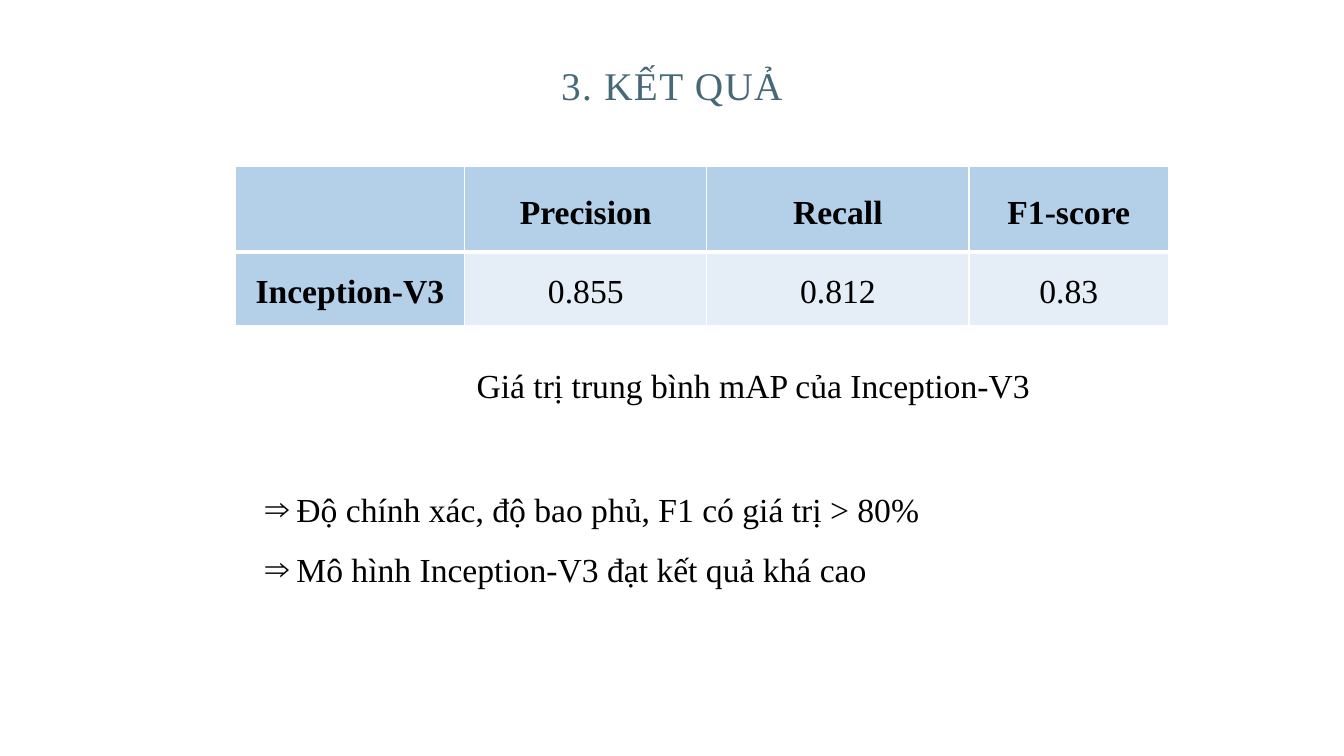
import pptx
import pptx.util
import pptx.dml.color
import pptx.enum.text
import lxml.etree

Inches, Pt = pptx.util.Inches, pptx.util.Pt
RGBColor = pptx.dml.color.RGBColor
PP_ALIGN = pptx.enum.text.PP_ALIGN
MSO_ANCHOR = pptx.enum.text.MSO_ANCHOR
MSO_AUTO_SIZE = pptx.enum.text.MSO_AUTO_SIZE

BLACK = RGBColor(0x00, 0x00, 0x00)
SLATE = RGBColor(0x47, 0x69, 0x77)
HEADER_BLUE = RGBColor(0xB4, 0xD0, 0xE9)
PALE_BLUE = RGBColor(0xE5, 0xEE, 0xF7)
A = "{http://schemas.openxmlformats.org/drawingml/2006/main}"


def write(p, text, color=BLACK, size=24, bold=False, align=PP_ALIGN.CENTER, spacing=1.0):
    paragraph_format = {"alignment": align, "line_spacing": spacing,
                        "space_before": Pt(0), "space_after": Pt(0)}
    for name, value in paragraph_format.items():
        setattr(p, name, value)
    r = p.add_run()
    r.text = text
    for name, value in {"name": "Times New Roman", "size": Pt(size), "bold": bold}.items():
        setattr(r.font, name, value)
    r.font.color.rgb = color
    return r


def place(sp, left, top, width, height):
    box = {"left": left, "top": top, "width": width, "height": height}
    for name, value in box.items():
        setattr(sp, name, Inches(value))


prs = pptx.Presentation()
prs.slide_width, prs.slide_height = Inches(13.33), Inches(7.5)
s = prs.slides.add_slide(prs.slide_layouts[1])

title = s.shapes.title
place(title, 3.54, 0.62, 6.25, 0.51)
title.text_frame.auto_size = MSO_AUTO_SIZE.NONE
title.text_frame.vertical_anchor = MSO_ANCHOR.MIDDLE
r = write(title.text_frame.paragraphs[0], "3. KẾT QUẢ", SLATE, 28, spacing=0.9)
r.font._element.set("spc", "100")

rows = [["", "Precision", "Recall", "F1-score"],
        ["Inception-V3", "0.855", "0.812", "0.83"]]
col_widths = [2.28, 2.4, 2.6, 1.98]
row_heights = [0.85, 0.73]
table = s.shapes.add_table(len(rows), len(col_widths), Inches(2.33), Inches(1.65),
                           Inches(sum(col_widths)), Inches(sum(row_heights))).table
for column, width in zip(table.columns, col_widths):
    column.width = Inches(width)
for row, height in zip(table.rows, row_heights):
    row.height = Inches(height)

cell_format = {"vertical_anchor": MSO_ANCHOR.MIDDLE,
               "margin_left": Inches(0.07), "margin_right": Inches(0.07),
               "margin_top": 0, "margin_bottom": 0}
for i, texts in enumerate(rows):
    for j, text in enumerate(texts):
        cell = table.cell(i, j)
        for name, value in cell_format.items():
            setattr(cell, name, value)
        heading = i == 0 or j == 0
        if text:
            write(cell.text_frame.paragraphs[0], text, bold=heading, spacing=1.2)
        tcPr = cell._tc.get_or_add_tcPr()
        divider = "lnB" if i == 0 else "lnT"
        for side in ("lnL", "lnR", "lnT", "lnB"):
            width = Pt(3 if side == divider else 1)
            ln = lxml.etree.SubElement(tcPr, A + side, w=str(width))
            line_fill = lxml.etree.SubElement(ln, A + "solidFill")
            lxml.etree.SubElement(line_fill, A + "srgbClr", val="FFFFFF")
        cell.fill.solid()
        cell.fill.fore_color.rgb = HEADER_BLUE if heading else PALE_BLUE

body = s.placeholders[1]
place(body, 2.53, 4.6, 7.26, 1.62)
tf = body.text_frame
tf.auto_size = MSO_AUTO_SIZE.NONE
conclusions = ["Độ chính xác, độ bao phủ, F1 có giá trị > 80%",
               "Mô hình Inception-V3 đạt kết quả khá cao"]
for i, text in enumerate(conclusions):
    p = tf.add_paragraph() if i else tf.paragraphs[0]
    write(p, text, align=PP_ALIGN.JUSTIFY, spacing=1.5)
    pPr = p._p.get_or_add_pPr()
    pPr.set("marL", str(Inches(0.31)))
    pPr.set("indent", str(-Inches(0.31)))
    lxml.etree.SubElement(pPr, A + "buFont", typeface="Times New Roman")
    lxml.etree.SubElement(pPr, A + "buChar", char="⇒")

caption = s.shapes.add_textbox(Inches(4.33), Inches(3.57), Inches(6.28), Inches(0.5))
caption.text_frame.word_wrap = True
write(caption.text_frame.paragraphs[0], "Giá trị trung bình mAP của Inception-V3")

prs.save("out.pptx")
